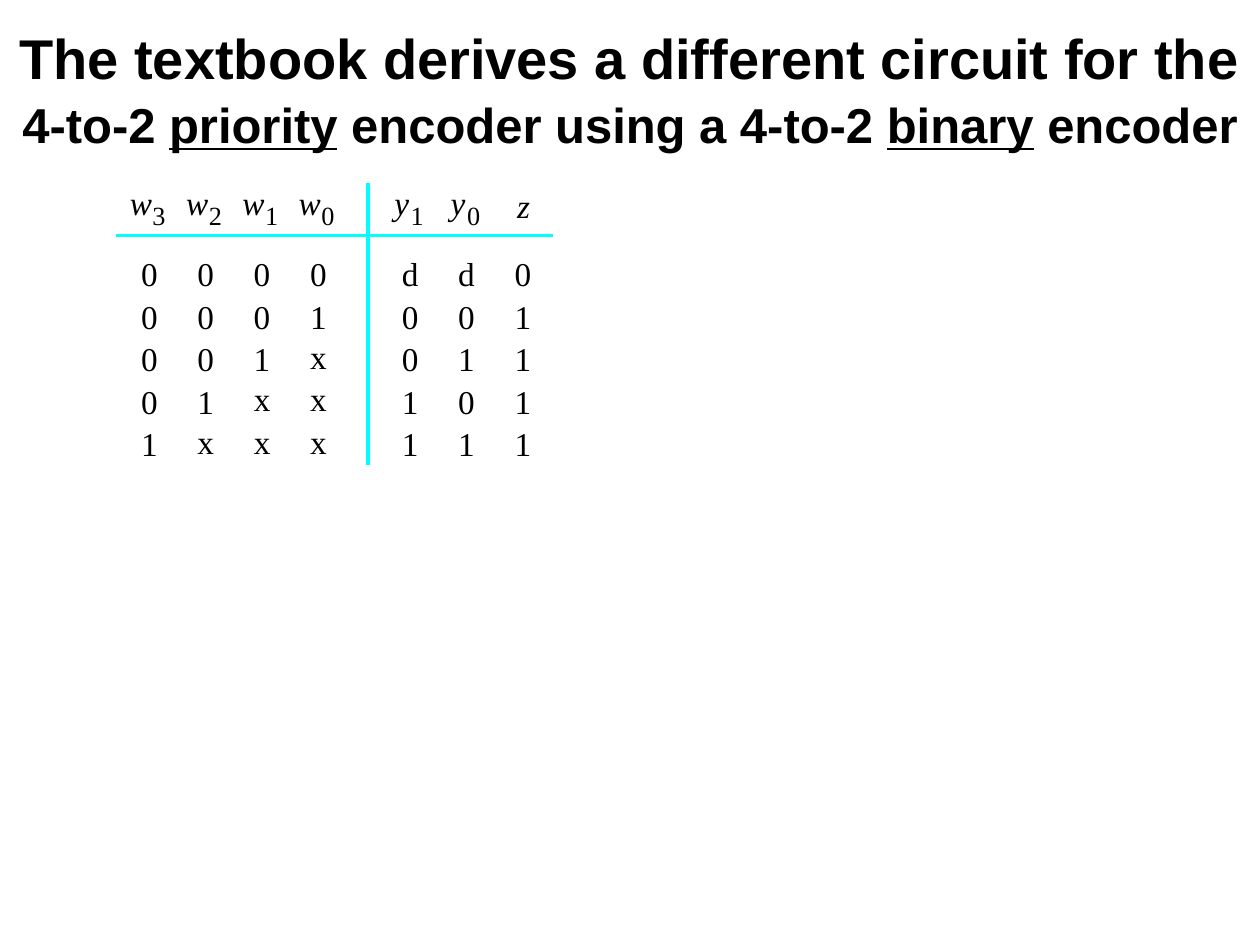
import pptx
import pptx.dml.color
import pptx.enum.shapes
import pptx.enum.text
import pptx.oxml
import pptx.util

COLORS = {"text": "000000", "rule": "00FFFF"}
INPUT_X, OUTPUT_X, HEAD_Y, BODY_Y = 1.12, 3.19, 1.45, 2.01
COL, ROW = 0.447, 0.3375
INPUTS = ["w3", "w2", "w1", "w0"]
OUTPUTS = ["y1", "y0", "z"]
ROWS = ["0000dd0", "0001001", "001x011", "01xx101", "1xxx111"]


class Deck:
    """Draw styled elements on the current slide, on the grid of a truth table."""

    def __init__(self, prs):
        self.s = prs.slides.add_slide(prs.slide_layouts[6])
        self.table = self.s.shapes.add_group_shape()

    def color(self, name):
        return pptx.dml.color.RGBColor.from_string(COLORS[name])

    def style(self, r, face, size, bold=False, italic=False, underline=False):
        r.font.name, r.font.size = face, pptx.util.Pt(size)
        r.font.bold, r.font.italic, r.font.underline = bold, italic, underline
        r.font.color.rgb = self.color("text")

    def box(self, shapes, x, y, w, h):
        sp = shapes.add_textbox(*map(pptx.util.Inches, (x, y, w, h)))
        sp.text_frame.word_wrap = True
        return sp.text_frame

    def title(self, lines):
        tf = self.box(self.s.shapes, 0, 0.1, 10, 1.28)
        tf.margin_top = pptx.util.Inches(0.09)
        for i, (size, parts) in enumerate(lines):
            p = tf.add_paragraph() if i else tf.paragraphs[0]
            p.alignment = pptx.enum.text.PP_ALIGN.CENTER
            p.space_before = pptx.util.Pt(2 * i)
            for text, underline in parts:
                r = p.add_run()
                r.text = text
                self.style(r, "Arial", size, bold=True, underline=underline)

    def symbol(self, text, x, y, w=0.27, h=0.35, size=19, italic=False):
        tf = self.box(self.table.shapes, x, y, w, h)
        tf.margin_left = tf.margin_right = tf.margin_top = tf.margin_bottom = 0
        tf.text = text
        self.style(tf.paragraphs[0].runs[0], "Times New Roman", size, italic=italic)

    def heading(self, name, x):
        letter, index = name[0], name[1:]
        dx, dy, w, gap = {"w": (-0.09, 0, 0.31, 0.18),
                          "y": (-0.06, 0, 0.25, 0.13),
                          "z": (0.02, 0.02, 0.25, 0)}[letter]
        self.symbol(letter, x + dx, HEAD_Y + dy, w, italic=True)
        if index:
            self.symbol(index, x + dx + gap, HEAD_Y + 0.13, 0.21, 0.28, 15)

    def value(self, text, x, row):
        lift, w = (0.02, 0.25) if text == "x" else (0, 0.27)
        self.symbol(text, x, BODY_Y + row * ROW - lift, w)

    def rule(self, *ends):
        c = self.table.shapes.add_connector(
            pptx.enum.shapes.MSO_CONNECTOR.STRAIGHT, *map(pptx.util.Inches, ends))
        c.line.color.rgb = self.color("rule")
        c.line.width = pptx.util.Pt(1.88)
        c._element.spPr.append(pptx.oxml.parse_xml(
            '<a:effectLst xmlns:a="http://schemas.openxmlformats.org/drawingml/2006/main"/>'))


def main():
    prs = pptx.Presentation()
    prs.slide_width, prs.slide_height = pptx.util.Inches(10), pptx.util.Inches(7.5)
    deck = Deck(prs)
    deck.rule(0.92, 1.87, 4.39, 1.87)
    deck.rule(2.92, 3.69, 2.92, 1.45)
    columns = [INPUT_X + i * COL for i in range(len(INPUTS))]
    columns += [OUTPUT_X + i * COL for i in range(len(OUTPUTS))]
    for name, x in zip(INPUTS + OUTPUTS, columns):
        deck.heading(name, x)
    for row, values in enumerate(ROWS):
        for text, x in zip(values, columns):
            deck.value(text, x, row)
    deck.title([
        (32, [("The textbook derives a different circuit for the", False)]),
        (28, [("4-to-2 ", False), ("priority", True),
              (" encoder using a 4-to-2 ", False), ("binary", True),
              (" encoder", False)]),
    ])
    prs.save("out.pptx")


if __name__ == "__main__":
    main()
